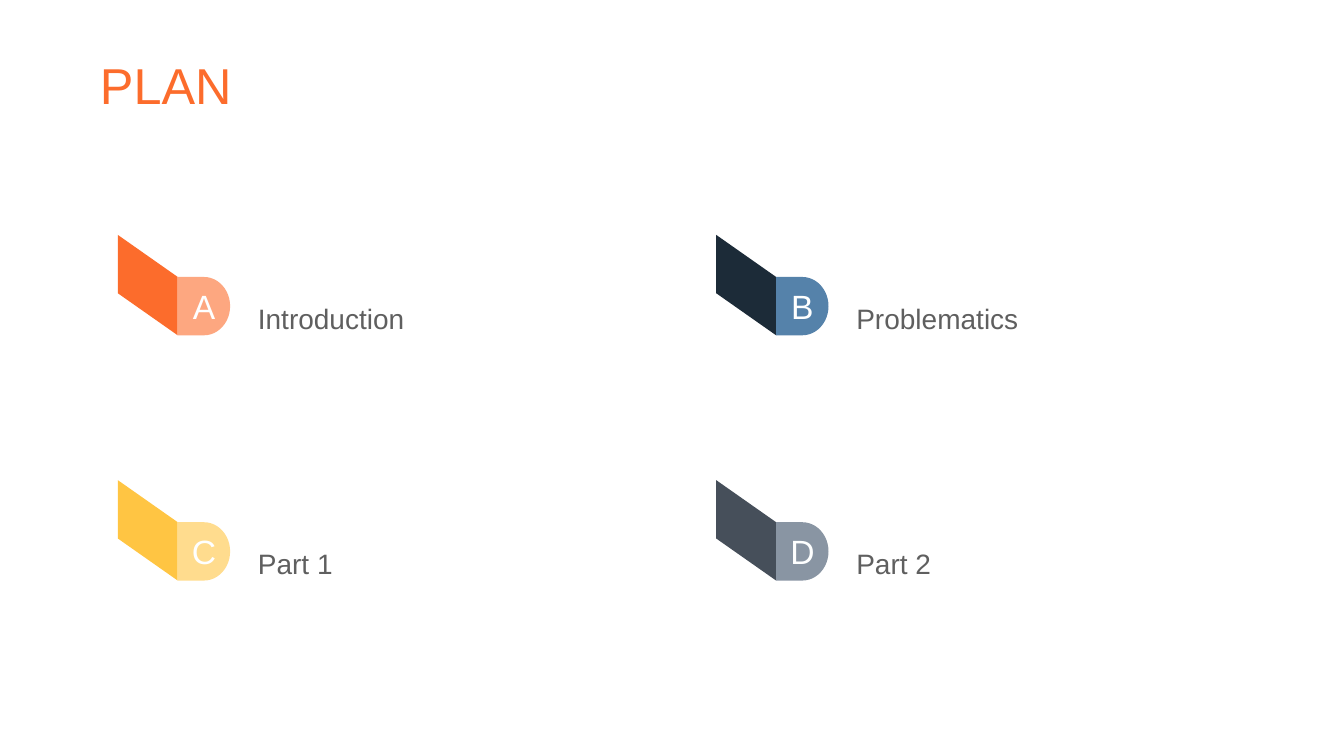
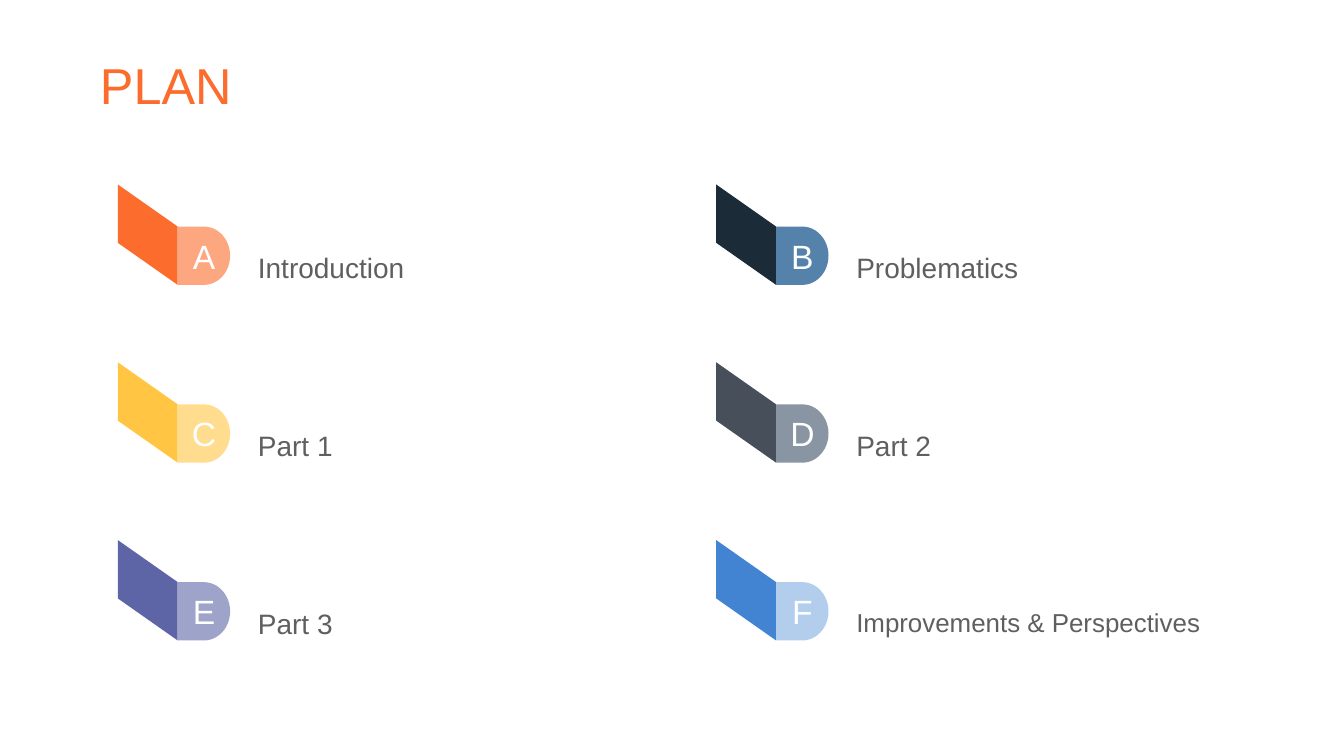
from pptx import Presentation
from pptx.dml.color import RGBColor
from pptx.enum.shapes import MSO_SHAPE
from pptx.enum.text import MSO_ANCHOR, PP_ALIGN
from pptx.util import Cm, Pt

FONT = "Arial"
ORANGE, GREY, WHITE = "FC6C2C", "5F5F5F", "FEFFFF"
COLUMNS = 2
FIRST_COLUMN, COLUMN_STEP = 2.97, 15.08
RIBBON_WIDTH, RIBBON_HEIGHT, RIBBON_DROP = 1.51, 1.47, 1.06
BADGE_WIDTH = 1.32
LABEL_SIZE, SMALL_LABEL_SIZE = 20, 18.5

SECTIONS = [
    ("A", "Introduction", ORANGE, "FDA780", LABEL_SIZE),
    ("B", "Problematics", "1C2B38", "5582AA", LABEL_SIZE),
    ("C", "Part 1", "FFC543", "FFDC8E", LABEL_SIZE),
    ("D", "Part 2", "464F5A", "8995A3", LABEL_SIZE),
    ("E", "Part 3", "5E65A6", "9EA3CA", LABEL_SIZE),
    ("F", "Improvements & Perspectives", "4283D2", "B3CDED", SMALL_LABEL_SIZE),
]


def rgb(code):
    """Turn a hex string into a colour."""
    return RGBColor.from_string(code)


def paint(shape, color):
    """Give a shape a flat fill without line or shadow."""
    shape.shadow.inherit = False
    shape.fill.solid()
    shape.fill.fore_color.rgb = rgb(color)
    shape.line.fill.background()


def set_margins(frame, left, top, right, bottom):
    """Set the inner margins of a text frame in centimetres."""
    frame.margin_left, frame.margin_top = Cm(left), Cm(top)
    frame.margin_right, frame.margin_bottom = Cm(right), Cm(bottom)


def write(frame, text, size, color, align=PP_ALIGN.LEFT, spacing=1.0):
    """Write one vertically centred paragraph."""
    frame.word_wrap = True
    frame.vertical_anchor = MSO_ANCHOR.MIDDLE
    frame.text = text
    paragraph = frame.paragraphs[0]
    paragraph.alignment = align
    paragraph.line_spacing = spacing
    paragraph.font.name = FONT
    paragraph.font.size = Pt(size)
    paragraph.font.color.rgb = rgb(color)


def add_title(slide, text):
    """Place and format the slide title."""
    title = slide.shapes.title
    title.left, title.top = Cm(2.33), Cm(1.01)
    title.width, title.height = Cm(29.21), Cm(2.4)
    set_margins(title.text_frame, 0.19, 0.1, 0.19, 0.1)
    write(title.text_frame, text, 36, ORANGE, spacing=0.9)


def add_ribbon(shapes, left, top, color):
    """Draw the slanted band that leads down to a badge."""
    right = left + RIBBON_WIDTH
    outline = shapes.build_freeform(Cm(left), Cm(top))
    outline.add_line_segments([
        (Cm(right), Cm(top + RIBBON_DROP)),
        (Cm(right), Cm(top + RIBBON_DROP + RIBBON_HEIGHT)),
        (Cm(left), Cm(top + RIBBON_HEIGHT)),
    ])
    paint(outline.convert_to_shape(), color)


def add_badge(shapes, left, top, letter, color):
    """Draw the round-ended badge with its letter."""
    badge = shapes.add_shape(MSO_SHAPE.FLOWCHART_DELAY, Cm(left), Cm(top),
                             Cm(BADGE_WIDTH), Cm(RIBBON_HEIGHT))
    paint(badge, color)
    set_margins(badge.text_frame, 0.2, 0, 0, 0)
    write(badge.text_frame, letter, 24, WHITE, PP_ALIGN.CENTER)


def add_label(shapes, left, top, text, size):
    """Write the section name beside its badge."""
    label = shapes.add_textbox(Cm(left), Cm(top), Cm(9.58), Cm(2.42))
    write(label.text_frame, text, size, GREY, spacing=1.5)


def add_section(slide, left, top, section):
    """Group the ribbon, badge and label of one section."""
    letter, name, dark, light, size = section
    shapes = slide.shapes.add_group_shape().shapes
    add_ribbon(shapes, left, top, dark)
    add_badge(shapes, left + RIBBON_WIDTH, top + RIBBON_DROP, letter, light)
    add_label(shapes, left + 3.28, top + 0.67, name, size)


def add_plan(deck, sections, first_row, row_step):
    """Add a plan slide with its sections in a two-column grid."""
    slide = deck.slides.add_slide(deck.slide_layouts[5])
    add_title(slide, "PLAN")
    for index, section in enumerate(sections):
        row, column = divmod(index, COLUMNS)
        add_section(slide, FIRST_COLUMN + column * COLUMN_STEP,
                    first_row + row * row_step, section)


def main():
    """Build both plan slides and save the deck."""
    deck = Presentation()
    deck.slide_width, deck.slide_height = Cm(33.87), Cm(19.05)
    add_plan(deck, SECTIONS[:4], 5.92, 6.18)
    add_plan(deck, SECTIONS, 4.65, 4.48)
    deck.save("out.pptx")


if __name__ == "__main__":
    main()
